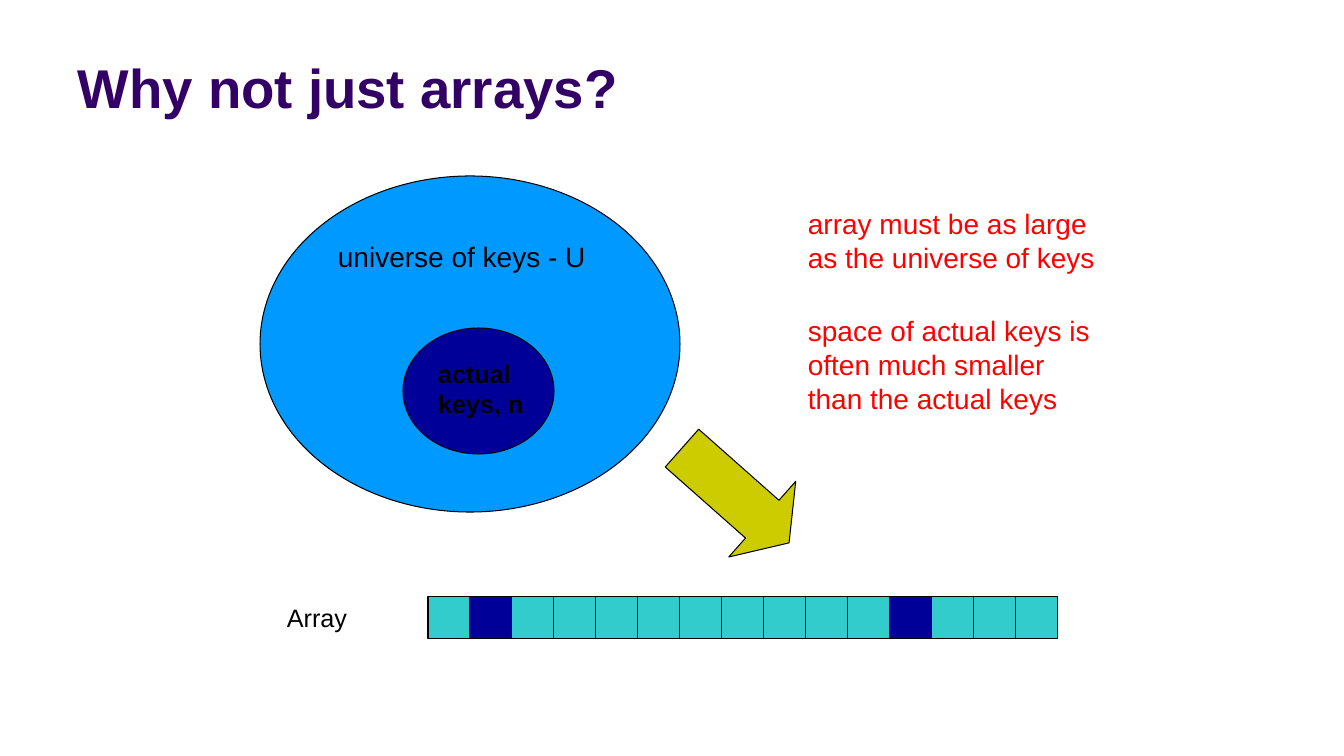
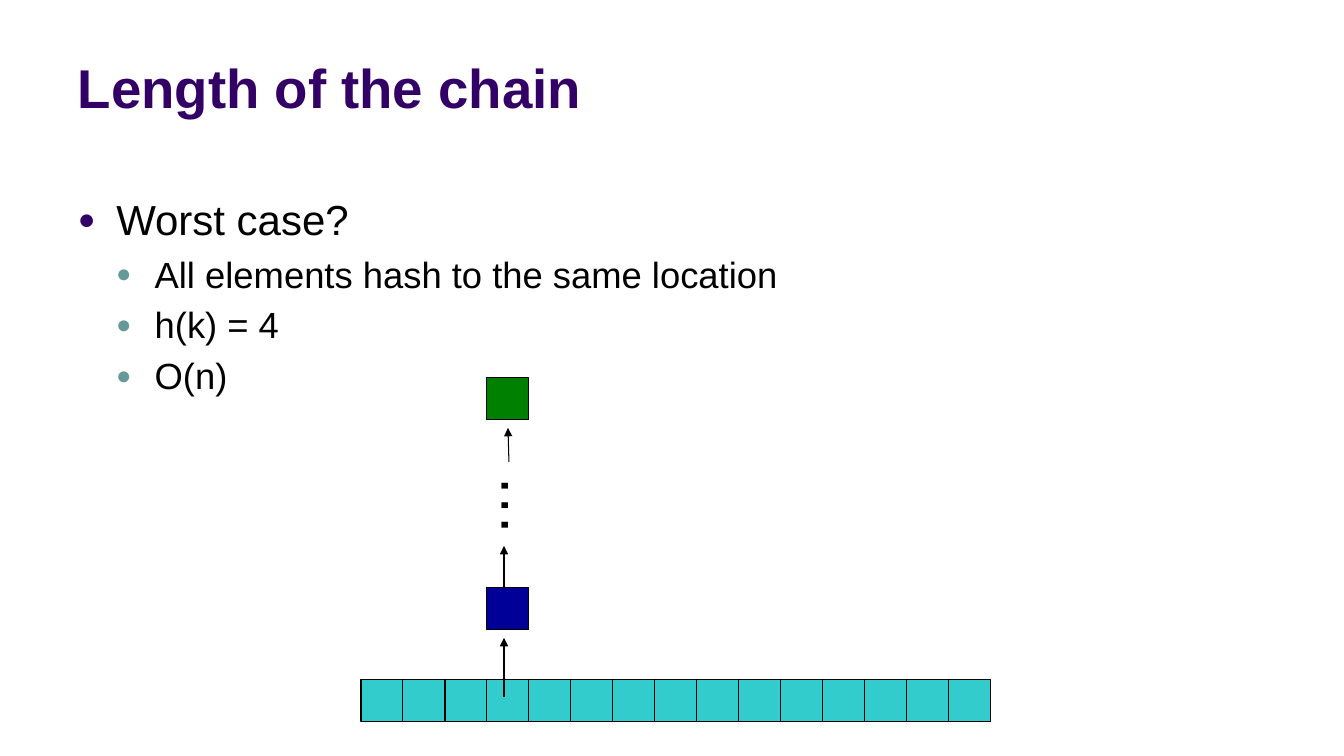
import pptx
import pptx.dml.color
import pptx.enum.shapes
import pptx.enum.text
import pptx.oxml.ns
import pptx.util
from lxml import etree

SHAPES = pptx.enum.shapes.MSO_SHAPE
WIDTH, HEIGHT = 1344, 756
SCALE = 12192000 / WIDTH
CELL = 42
CELL_COUNT = 15
BLACK, RED, PURPLE, GRAY_TEAL = "000000", "FF0000", "330066", "669999"
SKY, NAVY, TEAL, OLIVE, GREEN = "0099FF", "000099", "33CCCC", "CCCC00", "008000"


def px(length):
    return pptx.util.Emu(round(length * SCALE))


def color(value):
    return pptx.dml.color.RGBColor.from_string(value)


def add_node(parent, tag, **attributes):
    return etree.SubElement(parent, pptx.oxml.ns.qn(tag), **attributes)


class Deck:
    """Hold the shared style and the current slide, and draw elements on it."""

    font = "Arial"
    line_width = 0.75
    leading = 1.2

    def __init__(self):
        self.deck = pptx.Presentation()
        self.deck.slide_width, self.deck.slide_height = px(WIDTH), px(HEIGHT)

    def new_slide(self, title):
        self.page = self.deck.slides.add_slide(self.deck.slide_layouts[6])
        box = self.text(68, 13, 1210, 111, title, 39, PURPLE, bold=True)
        box.text_frame.vertical_anchor = pptx.enum.text.MSO_ANCHOR.BOTTOM

    def style(self, para, size, ink, bold=False):
        para.font.name = self.font
        para.font.size = pptx.util.Pt(size)
        para.font.bold = bold
        para.font.color.rgb = color(ink)
        para.line_spacing = pptx.util.Pt(size * self.leading)

    def text_box(self, left, top, width, height):
        box = self.page.shapes.add_textbox(px(left), px(top), px(width), px(height))
        box.text_frame.word_wrap = True
        return box

    def text(self, left, top, width, height, words, size, ink=BLACK, bold=False):
        box = self.text_box(left, top, width, height)
        para = box.text_frame.paragraphs[0]
        para.text = words
        self.style(para, size, ink, bold)
        return box

    def bullets(self, left, top, width, height, items):
        frame = self.text_box(left, top, width, height).text_frame
        for index, (level, words) in enumerate(items):
            para = frame.add_paragraph() if index else frame.paragraphs[0]
            para.text = words
            para.level = level
            size = (30, 26)[level]
            self.style(para, size, BLACK)
            if index:
                para.space_before = pptx.util.Pt(size * 0.2)
            properties = para._p.get_or_add_pPr()
            indent = px(38.4)
            properties.set("marL", str(indent * (level + 1)))
            properties.set("indent", str(-indent))
            tint = add_node(properties, "a:buClr")
            add_node(tint, "a:srgbClr", val=(PURPLE, GRAY_TEAL)[level])
            add_node(properties, "a:buSzPct", val="70000")
            add_node(properties, "a:buFont", typeface=self.font)
            add_node(properties, "a:buChar", char="●")

    def shape(self, kind, left, top, width, height, fill):
        shape = self.page.shapes.add_shape(kind, px(left), px(top), px(width), px(height))
        shape.shadow.inherit = False
        shape.fill.solid()
        shape.fill.fore_color.rgb = color(fill)
        shape.line.color.rgb = color(BLACK)
        shape.line.width = pptx.util.Pt(self.line_width)
        return shape

    def line(self, x1, y1, x2, y2, arrow=False):
        line = self.page.shapes.add_connector(
            pptx.enum.shapes.MSO_CONNECTOR.STRAIGHT, px(x1), px(y1), px(x2), px(y2))
        line.line.color.rgb = color(BLACK)
        line.line.width = pptx.util.Pt(self.line_width)
        if arrow:
            add_node(line.line._get_or_add_ln(), "a:tailEnd", type="triangle")
        add_node(line._element.spPr, "a:effectLst")

    def cell(self, left, top, fill):
        self.shape(SHAPES.RECTANGLE, left, top, CELL, CELL, fill)

    def array(self, left, top, filled=()):
        self.shape(SHAPES.RECTANGLE, left, top, CELL * CELL_COUNT, CELL, TEAL)
        for index in range(1, CELL_COUNT):
            x = left + index * CELL
            self.line(x, top, x, top + CELL)
        for index in filled:
            self.cell(left + index * CELL, top, NAVY)


def arrays_slide(deck):
    deck.new_slide("Why not just arrays?")
    deck.array(428, 597, filled=(1, 11))
    deck.text(277, 597, 84, 40, "Array", 18)
    deck.shape(SHAPES.OVAL, 260, 176, 420, 336, SKY)
    arrow = deck.shape(SHAPES.RIGHT_ARROW, 664, 445, 143, 101, OLIVE)
    arrow.rotation = 41.5
    arrow.adjustments[1] = 0.354
    deck.text(798, 202, 319, 78, "array must be as large as the universe of keys", 20, RED)
    deck.text(798, 309, 319, 111,
              "space of actual keys is often much smaller than the actual keys", 20, RED)
    deck.shape(SHAPES.OVAL, 403, 328, 151, 126, NAVY)
    deck.text(428, 353, 143, 71, "actual\vkeys, n", 18, bold=True)
    deck.text(328, 235, 277, 43, "universe of keys - U", 20)


def chain_slide(deck):
    deck.new_slide("Length of the chain")
    deck.bullets(68, 189, 1210, 486, [
        (0, "Worst case?"),
        (1, "All elements hash to the same location"),
        (1, "h(k) = 4"),
        (1, "O(n)"),
    ])
    left, top = 361, 680
    chain_left = left + 3 * CELL
    deck.array(left, top)
    deck.line(504, 697, 504, 638, arrow=True)
    deck.cell(chain_left, 588, NAVY)
    deck.line(504, 588, 504, 546, arrow=True)
    deck.line(509, 462, 508, 428, arrow=True)
    deck.cell(chain_left, 378, GREEN)
    dots = deck.text(433, 454, 101, 84, "…", 44)
    dots.rotation = 270


deck = Deck()
arrays_slide(deck)
chain_slide(deck)
deck.deck.save("out.pptx")
